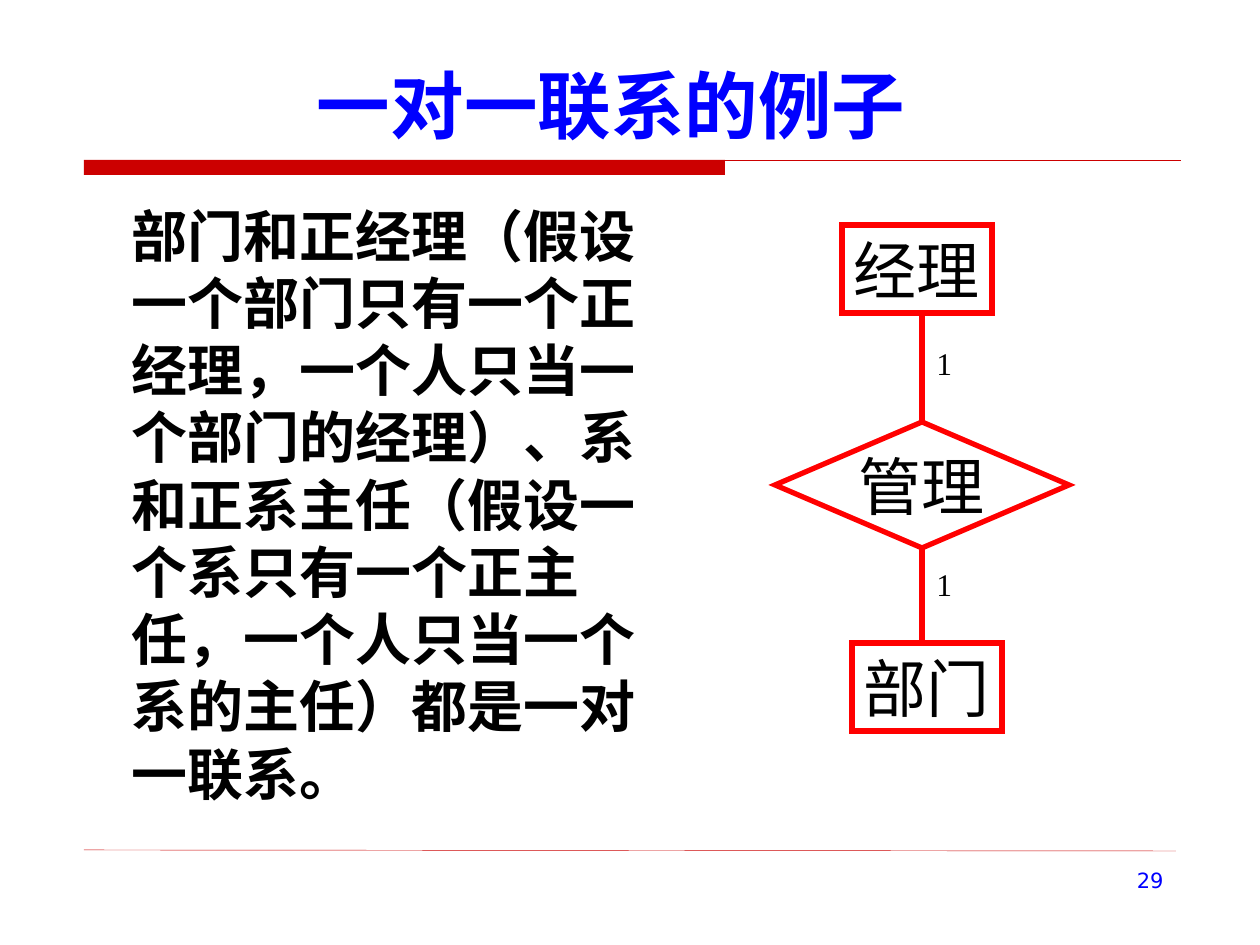
from lxml import etree
from pptx import Presentation, util as u
from pptx.dml.color import RGBColor
from pptx.enum import shapes, text
from pptx.oxml.ns import qn

PX = 914400 / 126
BLACK = RGBColor(0x00, 0x00, 0x00)
BLUE = RGBColor(0x00, 0x00, 0xFF)
RED = RGBColor(0xFF, 0x00, 0x00)
DARK_RED = RGBColor(0xCC, 0x00, 0x00)
CJK = "Noto Sans CJK SC"


def write(shape, words, size, font, color, align, bold=False):
    """Fill a shape with one paragraph in a single style."""
    paragraph = shape.text_frame.paragraphs[0]
    paragraph.text = words
    paragraph.alignment = align
    paragraph.space_before = u.Pt(0)
    paragraph.font.size = u.Pt(size)
    paragraph.font.bold = bold
    paragraph.font.name = font
    paragraph.font.color.rgb = color
    defaults = paragraph._p.pPr.find(qn("a:defRPr"))
    etree.SubElement(defaults, qn("a:ea"), typeface=CJK)
    return paragraph


def draw_line(x1, y1, x2, y2, color, width):
    line = slide.shapes.add_connector(
        shapes.MSO_CONNECTOR.STRAIGHT, *(round(v * PX) for v in (x1, y1, x2, y2)))
    line.line.color.rgb = color
    line.line.width = u.Pt(width)
    etree.SubElement(line._element.spPr, qn("a:effectLst"))


prs = Presentation()
prs.slide_width, prs.slide_height = u.Inches(10), u.Inches(7.5)
slide = prs.slides.add_slide(prs.slide_layouts[1])
LEFT, CENTER, RIGHT = text.PP_ALIGN.LEFT, text.PP_ALIGN.CENTER, text.PP_ALIGN.RIGHT

# Rules above and below the content
bar = slide.shapes.add_shape(
    shapes.MSO_SHAPE.RECTANGLE, *(round(v * PX) for v in (84, 160, 641, 15)))
bar.shadow.inherit = False
bar.fill.solid()
bar.fill.fore_color.rgb = DARK_RED
bar.line.fill.background()
draw_line(84, 160, 1181, 160, DARK_RED, 0.25)
draw_line(84, 850, 1176, 851, DARK_RED, 0.25)

# Title and body
title, body = slide.shapes.title, slide.placeholders[1]
for holder, box in ((title, (134, 45, 954, 110)), (body, (55, 195, 625, 655))):
    holder.left, holder.top, holder.width, holder.height = (round(v * PX) for v in box)
    holder.text_frame.auto_size = text.MSO_AUTO_SIZE.NONE
    holder.text_frame.word_wrap = True

title.text_frame.vertical_anchor = text.MSO_ANCHOR.BOTTOM
write(title, "一对一联系的例子", 42, CJK, BLUE, CENTER, bold=True)

body_properties = body.text_frame.paragraphs[0]._p.get_or_add_pPr()
body_properties.set("marL", str(round(64 * PX)))
body_properties.set("indent", "0")
body_properties.set("hangingPunct", "0")
etree.SubElement(body_properties, qn("a:buNone"))
explanation = write(
    body,
    "部门和正经理（假设一个部门只有一个正经理，一个人只当一个部门的经理）、"
    "系和正系主任（假设一个系只有一个正主任，一个人只当一个系的主任）都是一对一联系。",
    32, CJK, BLACK, LEFT, bold=True)
explanation.line_spacing = u.Pt(38.4)

# Entity-relationship diagram
RECTANGLE, DIAMOND = shapes.MSO_SHAPE.RECTANGLE, shapes.MSO_SHAPE.FLOWCHART_DECISION
for name, kind, box in (
        ("管理", DIAMOND, (775, 422, 294, 126)),
        ("经理", RECTANGLE, (842, 225, 150, 88)),
        ("部门", RECTANGLE, (852, 643, 150, 88))):
    node = slide.shapes.add_shape(kind, *(round(v * PX) for v in box))
    node.shadow.inherit = False
    node.fill.background()
    node.line.color.rgb = RED
    node.line.width = u.Pt(3)
    outline = node._element.spPr.find(qn("a:ln"))
    etree.SubElement(outline, qn("a:miter"), lim="800000")
    frame = node.text_frame
    frame.word_wrap = False
    frame.vertical_anchor = text.MSO_ANCHOR.MIDDLE
    frame.margin_top = frame.margin_bottom = 0
    write(node, name, 36, "Times New Roman", BLACK, CENTER)

draw_line(922, 548, 922, 643, RED, 3)
draw_line(922, 422, 922, 315, RED, 3)

# Cardinalities and page number
for words, box, size, font, color, align in (
        ("1", (924, 338, 40, 50), 18, "Times New Roman", BLACK, LEFT),
        ("1", (924, 559, 40, 50), 18, "Times New Roman", BLACK, LEFT),
        ("29", (903, 861, 273, 65), 12, "DejaVu Sans", BLUE, RIGHT)):
    label = slide.shapes.add_textbox(*(round(v * PX) for v in box))
    label.text_frame.word_wrap = True
    write(label, words, size, font, color, align)

prs.save("out.pptx")
